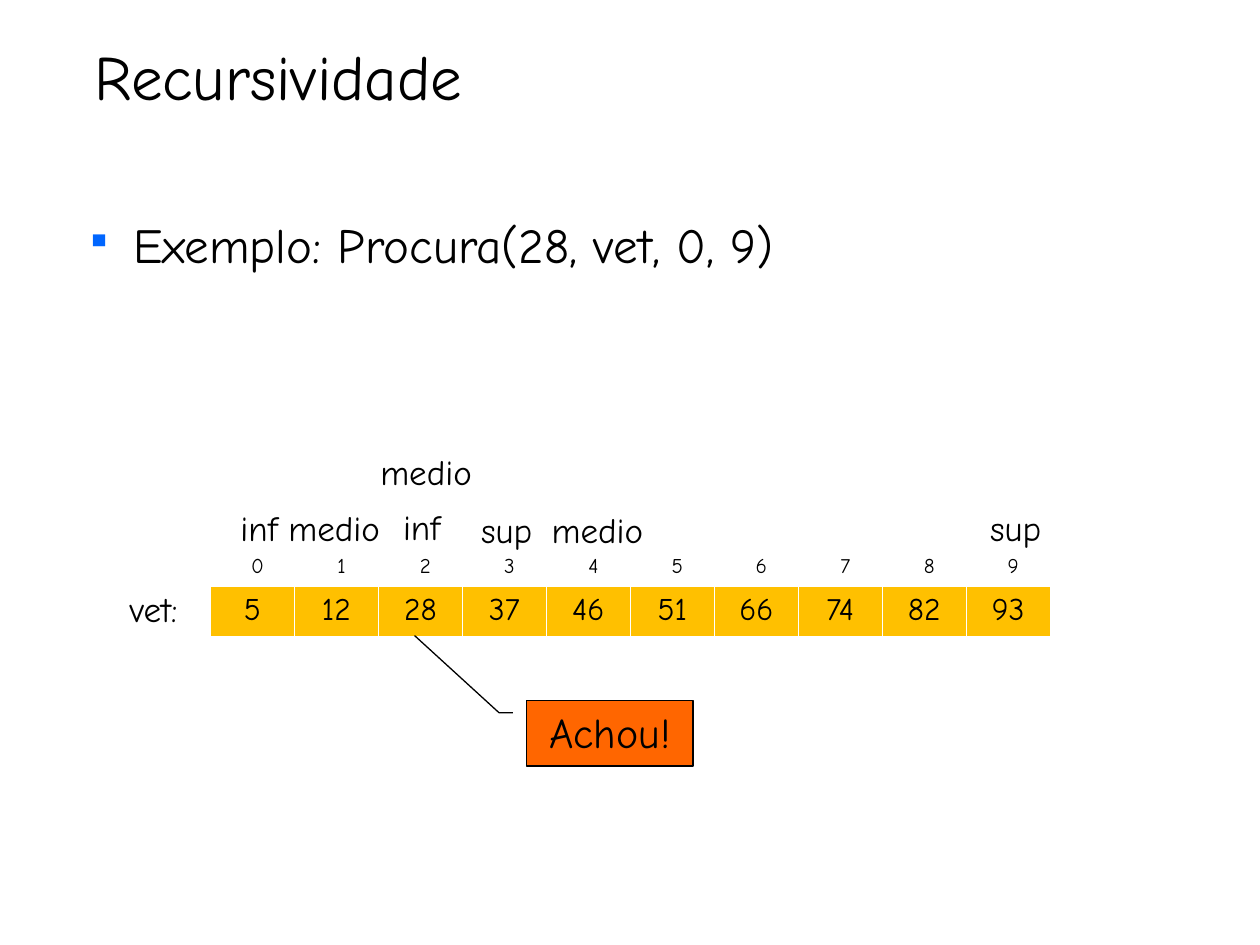
"""Build the slide that shows a recursive binary search finding its value."""
import pptx
import pptx.dml.color
import pptx.enum.shapes
import pptx.enum.text
import pptx.oxml
import pptx.oxml.ns
import pptx.util

FONT = "Comic Neue"
INK, WHITE, GOLD, ORANGE, BLUE = "000000", "FFFFFF", "FFC000", "FF6600", "0066FF"
TITLE = "Recursividade"
CALL = "Exemplo: Procura(28, vet, 0, 9)"
FOUND = "Achou!"
VALUES = [5, 12, 28, 37, 46, 51, 66, 74, 82, 93]
WIDTHS = {"inf": 0.51, "sup": 0.62, "medio": 0.94, "vet:": 0.59}
LABELS = [
    ("inf", 1.81, 3.97), ("sup", 7.76, 3.97), ("medio", 4.28, 3.99),
    ("vet:", 0.93, 4.61), ("sup", 3.72, 3.99), ("medio", 2.19, 3.97),
    ("inf", 3.1, 3.96), ("medio", 2.92, 3.53),
]
POINTER = [0.188, -0.083, 0.185, -0.167, -0.991, -0.674]
EDGES = {"L": 0.45, "R": 0.45, "T": 0.45, "B": 1.47}
COL = 2 / 3

inch = pptx.util.Inches
ALIGN = pptx.enum.text.PP_ALIGN
ANCHOR = pptx.enum.text.MSO_ANCHOR
FIT = pptx.enum.text.MSO_AUTO_SIZE


def color(code):
    return pptx.dml.color.RGBColor.from_string(code)


def make(tag, **attrs):
    node = pptx.oxml.parse_xml(f"<a:{tag} {pptx.oxml.ns.nsdecls('a')}/>")
    for key, val in attrs.items():
        node.set(key, str(val))
    return node


def write(frame, text, size, align=ALIGN.LEFT):
    frame.text = text
    para = frame.paragraphs[0]
    para.alignment = align
    font = para.runs[0].font
    font.name, font.size, font.bold = FONT, pptx.util.Pt(size), False
    font.color.rgb = color(INK)
    return para


def add_text(slide, text, size, left, top, width, height, wrap=False):
    frame = slide.shapes.add_textbox(*map(inch, (left, top, width, height))).text_frame
    frame.word_wrap = wrap
    frame.auto_size = FIT.NONE if wrap else FIT.SHAPE_TO_FIT_TEXT
    return frame, write(frame, text, size)


def add_bullet(para):
    props = para._p.get_or_add_pPr()
    props.set("marL", str(inch(0.38)))
    props.set("indent", str(-inch(0.38)))
    tint = make("buClr")
    tint.append(make("srgbClr", val=BLUE))
    props.append(tint)
    props.append(make("buSzPct", val=75000))
    props.append(make("buChar", char="▪"))


def add_edges(cell):
    props = cell._tc.get_or_add_tcPr()
    for side, width in EDGES.items():
        line = make("ln" + side, w=int(pptx.util.Pt(width)))
        fill = make("solidFill")
        fill.append(make("srgbClr", val=WHITE))
        line.append(fill)
        props.append(line)


def add_row(slide, items, size, left, top, height, fill=None):
    count = len(items)
    table = slide.shapes.add_table(
        1, count, inch(left), inch(top), inch(COL * count), inch(height)).table
    table.first_row = table.horz_banding = False
    for cell, item in zip(table.rows[0].cells, items):
        add_edges(cell)
        if fill:
            cell.fill.solid()
            cell.fill.fore_color.rgb = color(fill)
        else:
            cell.fill.background()
        write(cell.text_frame, str(item), size, ALIGN.CENTER)


def add_callout(slide):
    kind = pptx.enum.shapes.MSO_SHAPE.LINE_CALLOUT_2
    shape = slide.shapes.add_shape(kind, *map(inch, (4.18, 5.56, 1.32, 0.52)))
    for i, val in enumerate(POINTER):
        shape.adjustments[i] = val
    shape.shadow.inherit = False
    shape.fill.solid()
    shape.fill.fore_color.rgb = color(ORANGE)
    shape.line.color.rgb = color(INK)
    shape.line.width = pptx.util.Pt(0.75)
    shape.text_frame.word_wrap = False
    shape.text_frame.vertical_anchor = ANCHOR.TOP
    write(shape.text_frame, FOUND, 24, ALIGN.CENTER)


def main():
    deck = pptx.Presentation()
    deck.slide_width, deck.slide_height = inch(10), inch(7.5)
    slide = deck.slides.add_slide(deck.slide_layouts[6])
    add_row(slide, range(len(VALUES)), 12, 1.71, 4.35, 0.3)
    frame, _ = add_text(slide, TITLE, 36, 0.65, 0.25, 8.31, 0.7, True)
    frame.vertical_anchor = ANCHOR.BOTTOM
    _, para = add_text(slide, CALL, 28, 0.58, 1.71, 8.94, 0.83, True)
    para.line_spacing = 0.9
    add_bullet(para)
    add_row(slide, VALUES, 18, 1.67, 4.65, 0.41, GOLD)
    for text, left, top in LABELS:
        add_text(slide, text, 20, left, top, WIDTHS[text], 0.44)
    add_callout(slide)
    deck.save("out.pptx")


if __name__ == "__main__":
    main()
